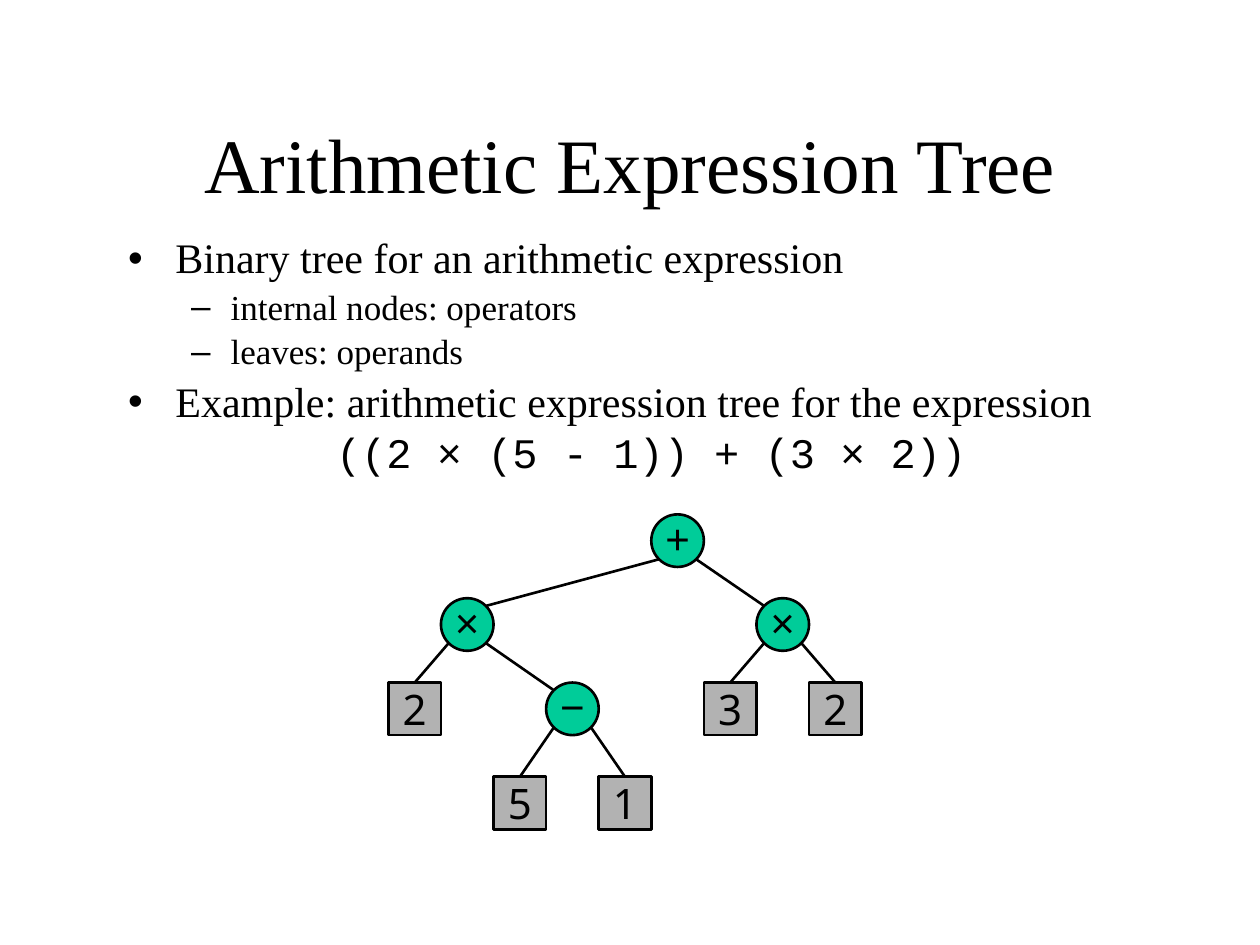
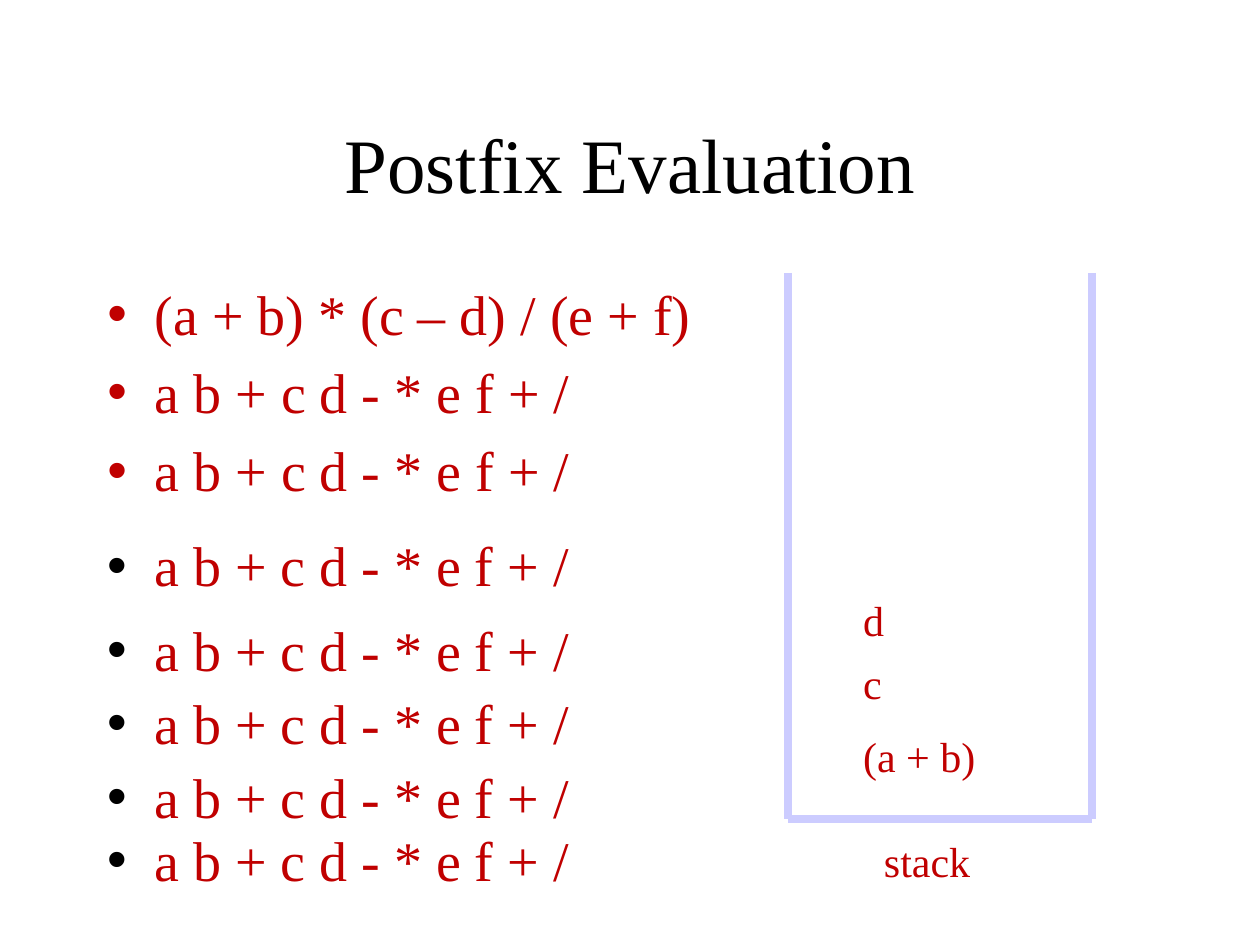
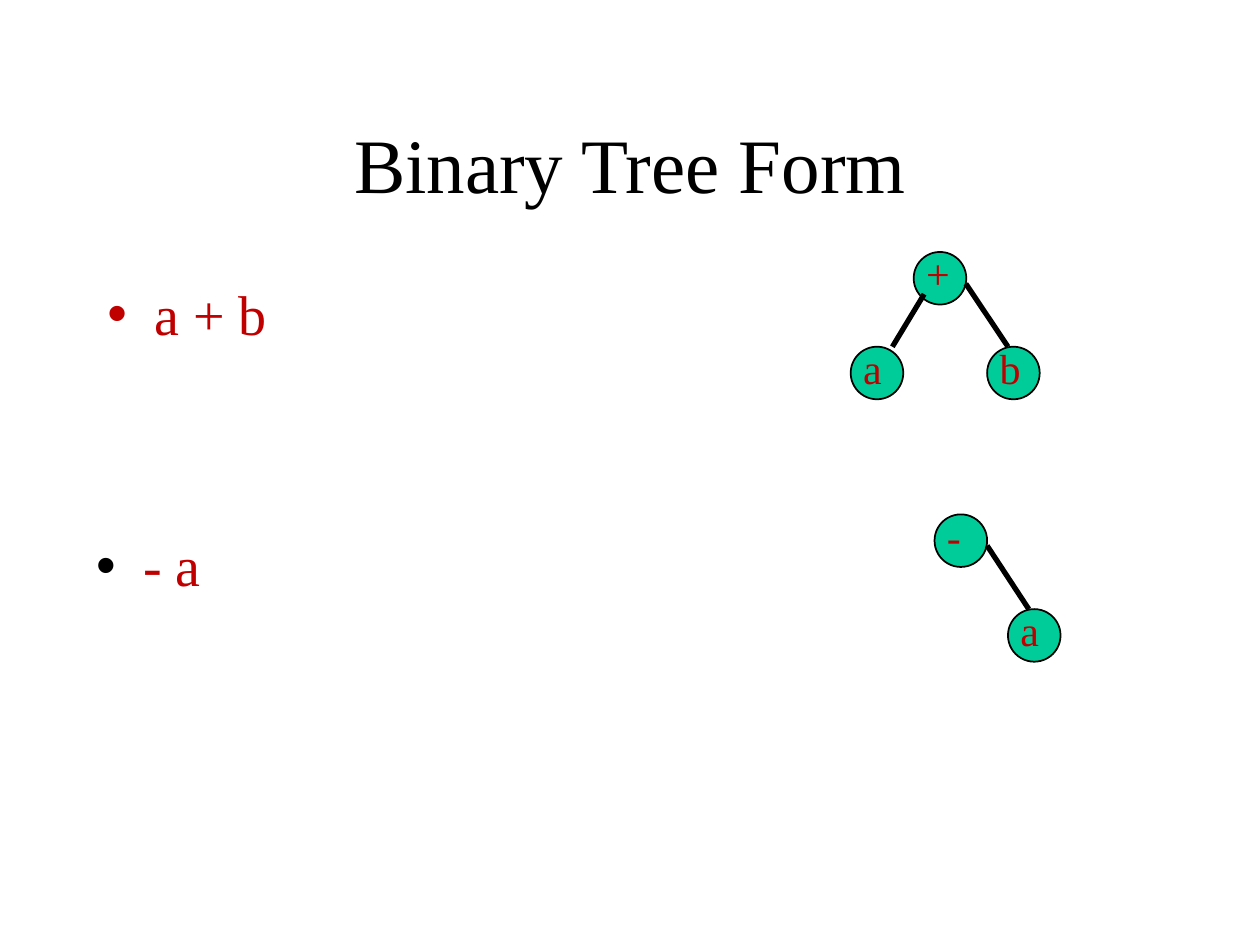
import math

import lxml.etree
import pptx
import pptx.dml.color
import pptx.enum.shapes
import pptx.enum.text
import pptx.oxml.ns
import pptx.util

Cm = pptx.util.Cm
Pt = pptx.util.Pt
RGB = pptx.dml.color.RGBColor
SHAPE = pptx.enum.shapes.MSO_SHAPE
ALIGN = pptx.enum.text.PP_ALIGN
FIT = pptx.enum.text.MSO_AUTO_SIZE
ANCHOR = pptx.enum.text.MSO_ANCHOR

BLACK = RGB(0x00, 0x00, 0x00)
RED = RGB(0xC0, 0x00, 0x00)
GREEN = RGB(0x00, 0xCC, 0x99)
GRAY = RGB(0xB2, 0xB2, 0xB2)
LILAC = RGB(0xCC, 0xCC, 0xFF)
SERIF = "Times New Roman"
NODE = 1.06
POSTFIX = "a b + c d - * e f + /"


def place(shape, box):
    shape.left, shape.top, shape.width, shape.height = map(Cm, box)


def style(par, size, color, font=SERIF):
    for run in par.runs:
        run.font.size = Pt(size)
        run.font.name = font
        run.font.color.rgb = color


def add_xml(parent, tag, **attrs):
    return lxml.etree.SubElement(parent, pptx.oxml.ns.qn(tag), **attrs)


def add_slide(deck, title, box, lines, size, color):
    slide = deck.slides.add_slide(deck.slide_layouts[1])
    head, body = slide.placeholders
    place(head, (1.91, 1.69, 21.59, 3.18))
    head.text_frame.text = title
    head.text_frame.auto_size = FIT.NONE
    style(head.text_frame.paragraphs[0], 44, BLACK)
    place(body, box)
    body.text_frame.text = "\n".join(lines)
    body.text_frame.auto_size = FIT.NONE
    for par in body.text_frame.paragraphs:
        style(par, size, color)
    return slide, body.text_frame.paragraphs


def add_text(shapes, box, text, size=24):
    frame = shapes.add_textbox(*map(Cm, box)).text_frame
    frame.text = text
    frame.word_wrap = True
    style(frame.paragraphs[0], size, RED)
    return frame


def add_label(shapes, box, text):
    add_text(shapes, box, text).auto_size = FIT.SHAPE_TO_FIT_TEXT


def add_bullet(shapes, box, text):
    par = add_text(shapes, box, text, 32).paragraphs[0]
    par.space_before = Pt(6.4)
    props = par._p.get_or_add_pPr()
    props.set("marL", str(Cm(0.95)))
    props.set("indent", str(-Cm(0.95)))
    add_xml(add_xml(props, "a:buClr"), "a:srgbClr", val=str(BLACK))
    add_xml(props, "a:buFont", typeface="Arial")
    add_xml(props, "a:buChar", char="•")


def add_line(shapes, start, end, color, width):
    kind = pptx.enum.shapes.MSO_CONNECTOR.STRAIGHT
    line = shapes.add_connector(kind, *map(Cm, (*start, *end)))
    line.line.color.rgb = color
    line.line.width = Pt(width)
    add_xml(line._element.spPr, "a:effectLst")


def add_node(shapes, kind, x, y, fill, width):
    node = shapes.add_shape(kind, *map(Cm, (x, y, NODE, NODE)))
    node.shadow.inherit = False
    node.fill.solid()
    node.fill.fore_color.rgb = fill
    node.line.color.rgb = BLACK
    node.line.width = Pt(width)
    return node


def add_sign(shapes, x, y, text, leaf):
    kind, fill, font = (SHAPE.RECTANGLE, GRAY, "Noto Sans") if leaf else (SHAPE.OVAL, GREEN, "Arial")
    frame = add_node(shapes, kind, x, y, fill, 1.5).text_frame
    frame.text = text
    frame.word_wrap = False
    frame.vertical_anchor = ANCHOR.MIDDLE
    if not leaf:
        frame.margin_left = frame.margin_right = frame.margin_top = 0
        frame.margin_bottom = Cm(0.13)
    frame.paragraphs[0].alignment = ALIGN.CENTER
    style(frame.paragraphs[0], 24, BLACK, font)


def add_tree(shapes):
    signs = "2×5−1+3×2"
    depths = (2, 1, 3, 2, 3, 0, 2, 1, 2)
    tops = (10.37, 12.06, 13.76, 15.66)
    edges = ((5, 1), (5, 7), (7, 8), (7, 6), (3, 4), (3, 2), (1, 0), (1, 3))
    mids = [(7.83 + NODE * (col + 0.5), tops[depth] + NODE / 2) for col, depth in enumerate(depths)]
    for sign, (x, y) in zip(signs, mids):
        add_sign(shapes, x - NODE / 2, y - NODE / 2, sign, sign.isdigit())
    reach = NODE / 2 * math.sqrt(0.5)
    for top, low in edges:
        (x, y), (to_x, to_y) = mids[top], mids[low]
        side = reach if low > top else -reach
        if signs[low].isdigit():
            end = (to_x, to_y - NODE / 2)
        else:
            end = (to_x - side, to_y - reach)
        add_line(shapes, (x + side, y + reach), end, BLACK, 1.5)


def add_discs(shapes, discs, edges):
    for x, y, text in discs:
        add_node(shapes, SHAPE.OVAL, x, y, GREEN, 1)
        add_label(shapes, (x, y - 0.21, NODE, 1.3), text)
    for start, end in edges:
        add_line(shapes, start, end, BLACK, 3)


def build_tree(deck):
    lines = (
        "Binary tree for an arithmetic expression",
        "internal nodes: operators",
        "leaves: operands",
        "Example: arithmetic expression tree for the expression",
        "((2 × (5 - 1)) + (3 × 2))",
    )
    slide, pars = add_slide(deck, "Arithmetic Expression Tree", (2.33, 4.66, 21.59, 5.29), lines, 24, BLACK)
    for par in pars[:4]:
        par.line_spacing = 0.9
    for par in pars[1:3]:
        par.level = 1
        style(par, 20, BLACK)
    last = pars[4]
    last.alignment = ALIGN.CENTER
    last.space_before = Pt(0)
    style(last, 24, BLACK, "Courier New")
    add_xml(last._p.get_or_add_pPr(), "a:buNone")
    add_tree(slide.shapes.add_group_shape().shapes)


def build_stack(deck):
    lines = ("(a + b) * (c – d) / (e + f)", POSTFIX, POSTFIX)
    slide, _ = add_slide(deck, "Postfix Evaluation", (1.91, 5.5, 12.49, 5.29), lines, 32, RED)
    group = slide.shapes.add_group_shape().shapes
    left, right, top, base = 15.88, 22.01, 5.5, 16.51
    for x in (left, right):
        add_line(group, (x, top), (x, base), LILAC, 4.5)
    add_line(group, (left, base), (right, base), LILAC, 4.5)
    add_label(group, (17.57, 16.72, 3.18, 1.3), "stack")
    for y, text in ((14.61, "(a + b)"), (13.12, "c"), (11.85, "d")):
        add_label(slide.shapes, (17.15, y, 4.23, 1.27), text)
    for y in (10.58, 12.28, 13.76, 15.24, 16.51):
        add_bullet(slide.shapes, (1.91, y, 12.49, 1.69), POSTFIX)


def build_form(deck):
    slide, _ = add_slide(deck, "Binary Tree Form", (1.91, 5.5, 8.89, 1.91), ("a + b",), 32, RED)
    add_discs(
        slide.shapes.add_group_shape().shapes,
        ((18.42, 5.08, "+"), (17.15, 6.99, "a"), (19.9, 6.99, "b")),
        (((18.63, 5.93), (17.99, 6.99)), ((19.47, 5.72), (20.32, 6.99))),
    )
    add_bullet(slide.shapes, (1.69, 10.58, 6.77, 1.91), "- a")
    add_discs(
        slide.shapes.add_group_shape().shapes,
        ((18.84, 10.37, "-"), (20.32, 12.28, "a")),
        (((19.9, 11), (20.74, 12.28)),),
    )


def main():
    deck = pptx.Presentation()
    deck.slide_width, deck.slide_height = Cm(25.4), Cm(19.05)
    build_tree(deck)
    build_stack(deck)
    build_form(deck)
    deck.save("out.pptx")


main()
